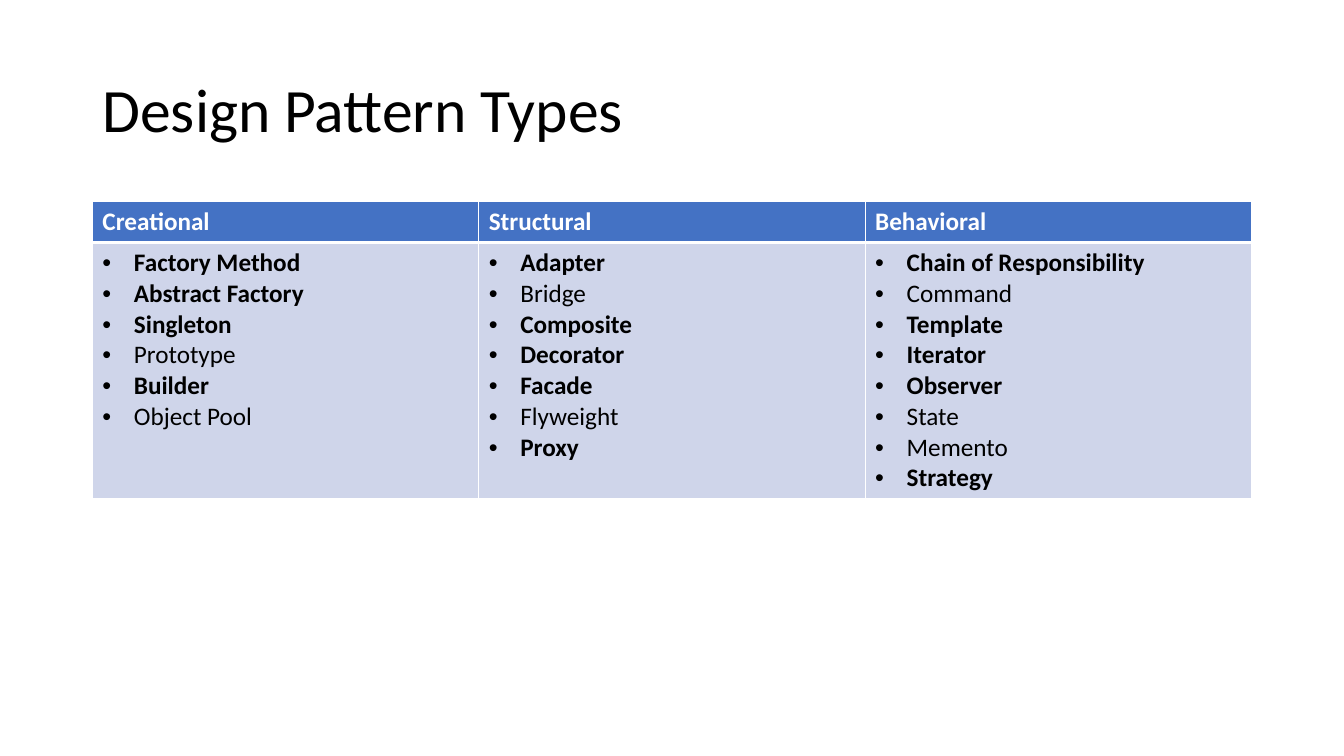
import pptx
import pptx.util
import pptx.dml.color
import pptx.enum.text
import pptx.oxml

PX = 9525
THEME = {
    "font": "Calibri",
    "title": 44,
    "body": 18,
    "black": "000000",
    "white": "FFFFFF",
    "head": "4472C4",
    "cell": "CFD5EA",
}
TYPES = {
    "Creational": [
        ("Factory Method", True), ("Abstract Factory", True),
        ("Singleton", True), ("Prototype", False),
        ("Builder", True), ("Object Pool", False),
    ],
    "Structural": [
        ("Adapter", True), ("Bridge", False), ("Composite", True),
        ("Decorator", True), ("Facade", True), ("Flyweight", False),
        ("Proxy", True),
    ],
    "Behavioral": [
        ("Chain of Responsibility", True), ("Command", False),
        ("Template", True), ("Iterator", True), ("Observer", True),
        ("State", False), ("Memento", False), ("Strategy", True),
    ],
}
LEFT, WIDTH = 88, 1104
ROWS = [39, 244]
INDENT = 30
NS = 'xmlns:a="http://schemas.openxmlformats.org/drawingml/2006/main"'


def style(para, size, color, bold):
    font = para.font
    font.name = THEME["font"]
    font.size = pptx.util.Pt(THEME[size])
    font.bold = bold
    font.color.rgb = pptx.dml.color.RGBColor.from_string(THEME[color])


def paint(cell, color, top, bottom):
    props = cell._tc.get_or_add_tcPr()
    for side, width in zip("LRTB", (1, 1, top, bottom)):
        props.append(pptx.oxml.parse_xml(
            f'<a:ln{side} {NS} w="{pptx.util.Pt(width)}"><a:solidFill>'
            f'<a:srgbClr val="{THEME["white"]}"/></a:solidFill></a:ln{side}>'))
    cell.fill.solid()
    cell.fill.fore_color.rgb = pptx.dml.color.RGBColor.from_string(THEME[color])


deck = pptx.Presentation()
deck.slide_width, deck.slide_height = 1280 * PX, 720 * PX
slide = deck.slides.add_slide(deck.slide_layouts[5])

title = slide.shapes.title
title.left, title.top = LEFT * PX, 38 * PX
title.width, title.height = WIDTH * PX, 139 * PX
frame = title.text_frame
frame.text = "Design Pattern Types"
frame.auto_size = pptx.enum.text.MSO_AUTO_SIZE.NONE
frame.vertical_anchor = pptx.enum.text.MSO_ANCHOR.MIDDLE
para = frame.paragraphs[0]
para.alignment = pptx.enum.text.PP_ALIGN.LEFT
para.line_spacing = 0.9
style(para, "title", "black", False)

table = slide.shapes.add_table(
    len(ROWS), len(TYPES), LEFT * PX, 192 * PX, WIDTH * PX, sum(ROWS) * PX).table
for row, height in zip(table.rows, ROWS):
    row.height = height * PX

for col, (kind, items) in enumerate(TYPES.items()):
    head, body = table.cell(0, col), table.cell(1, col)
    paint(head, "head", 1, 3)
    paint(body, "cell", 3, 1)
    head.text = kind
    style(head.text_frame.paragraphs[0], "body", "white", True)
    body.text = "\n".join(name for name, bold in items)
    for para, (name, bold) in zip(body.text_frame.paragraphs, items):
        props = para._p.get_or_add_pPr()
        props.set("marL", str(INDENT * PX))
        props.set("indent", str(-INDENT * PX))
        props.append(pptx.oxml.parse_xml(f'<a:buFont {NS} typeface="Arial"/>'))
        props.append(pptx.oxml.parse_xml(f'<a:buChar {NS} char="•"/>'))
        style(para, "body", "black", bold)

deck.save("out.pptx")
